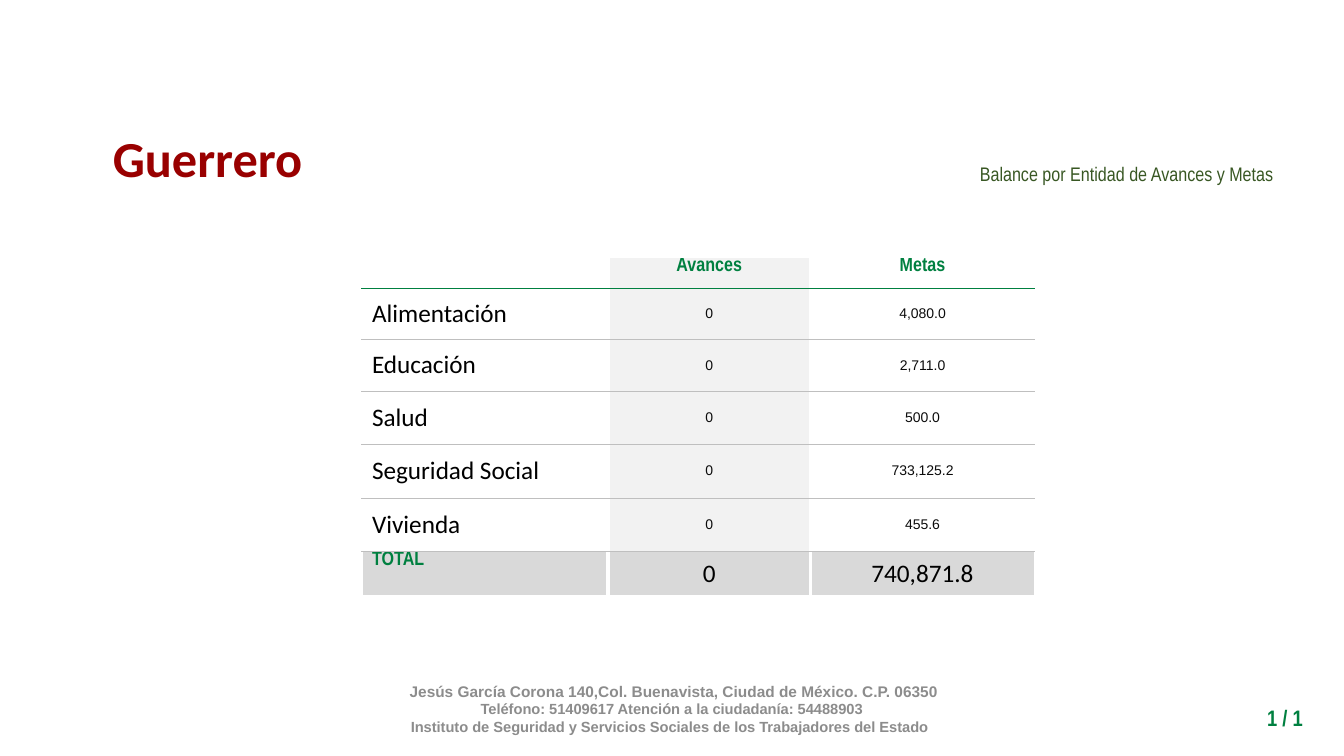
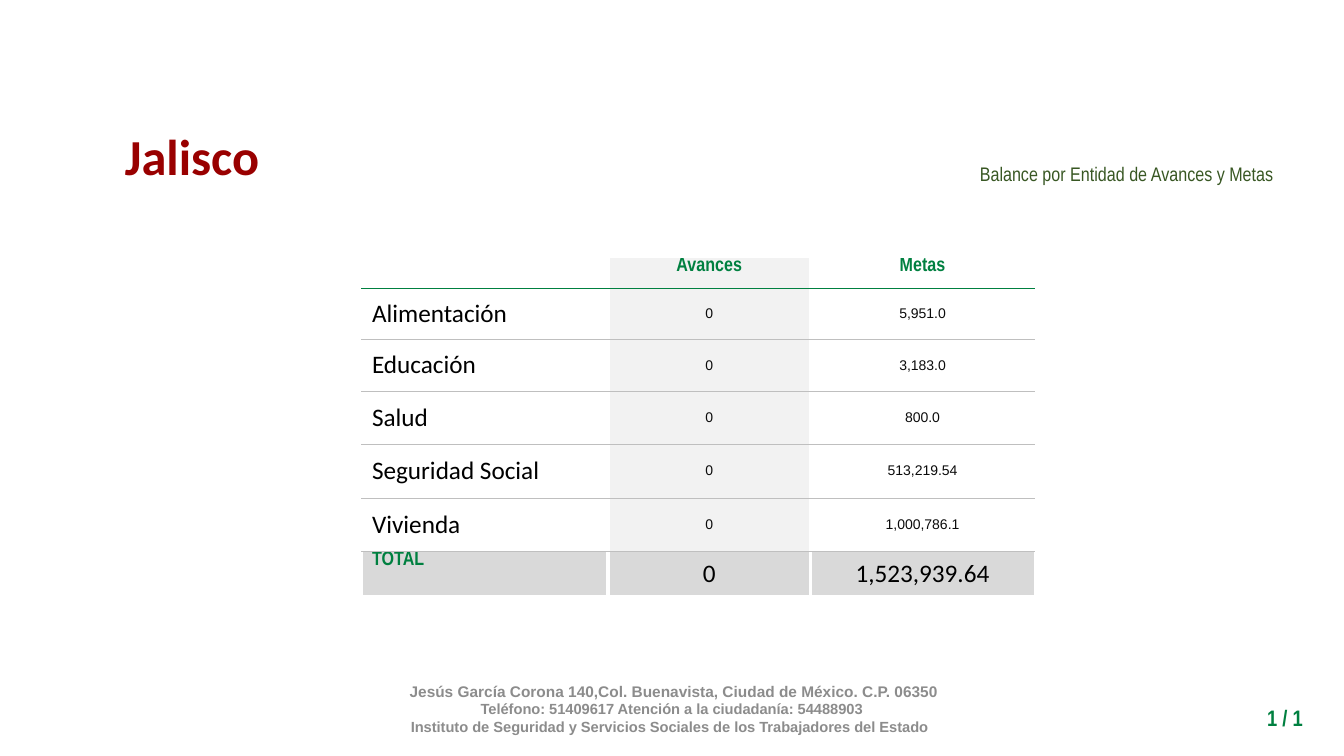
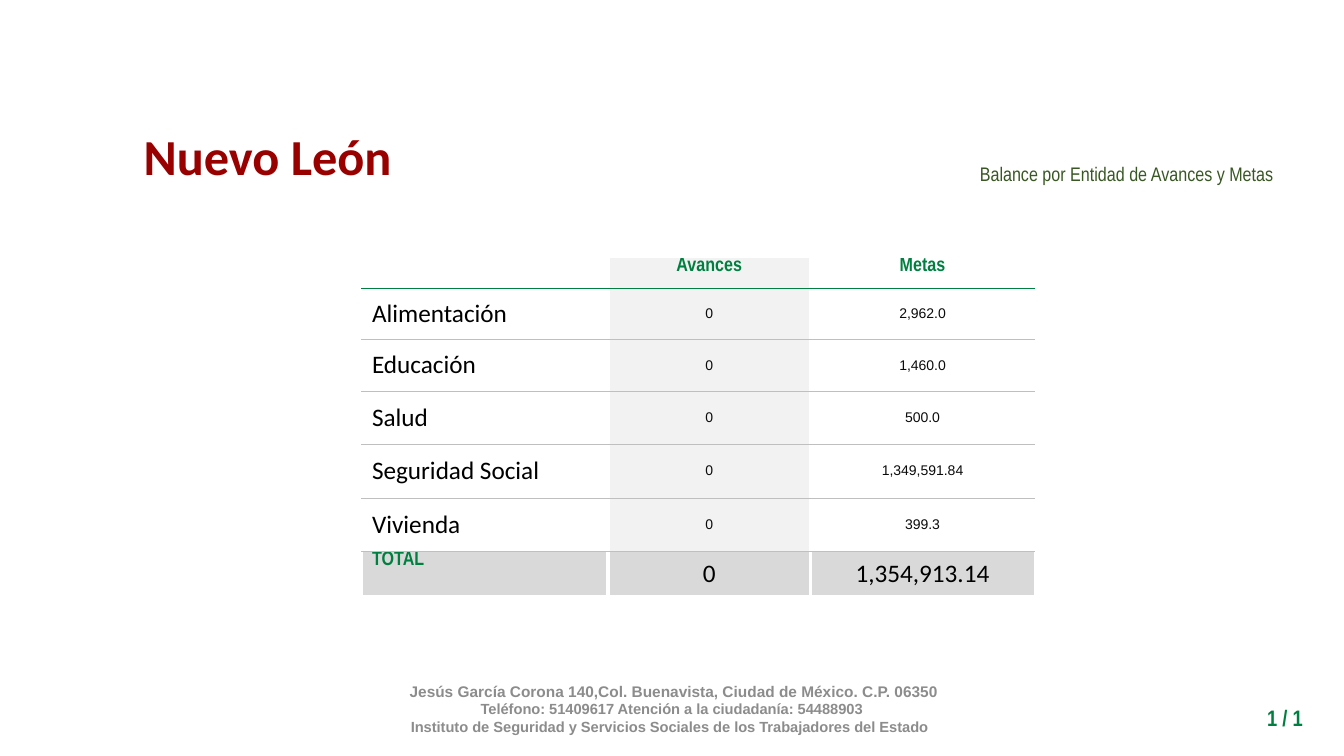
from dataclasses import dataclass
from typing import Optional

from lxml.etree import SubElement as Sub
from pptx import Presentation
from pptx.dml.color import RGBColor as Rgb
from pptx.enum.text import MSO_ANCHOR as Anchor
from pptx.enum.text import MSO_AUTO_SIZE as Fit
from pptx.enum.text import PP_ALIGN as Align
from pptx.oxml.ns import qn
from pptx.util import Inches, Pt


@dataclass(frozen=True)
class Face:
    size: float
    font: str
    color: str
    bold: bool = False
    edge: Optional[str] = None


@dataclass(frozen=True)
class Theme:
    white: str = "FFFFFF"
    green: str = "008040"
    rule: str = "BFBFBF"
    shade: str = "F2F2F2"
    dark: str = "D9D9D9"
    title: Face = Face(36, "Calibri", "990000", True, "FFFFFF")
    sub: Face = Face(14, "Arial Narrow", "385723")
    page: Face = Face(16, "Arial Narrow", "008040", True)
    foot: Face = Face(11, "Arial", "8C8C8C", True)
    small: Face = Face(10.5, "Arial", "8C8C8C", True)
    head: Face = Face(14, "Arial Narrow", "008040", True)
    label: Face = Face(18, "Calibri", "000000")
    value: Face = Face(10, "Arial", "0B0B0B")


@dataclass(frozen=True)
class Box:
    left: float
    top: float
    width: float
    height: float


@dataclass(frozen=True)
class Line:
    text: str
    face: Face


@dataclass(frozen=True)
class State:
    name: str
    box: Box
    goals: tuple[float, ...]


T = Theme()
FOOT = (
    Line(" Jesús García Corona 140,Col. Buenavista, Ciudad de México. C.P. 06350", T.foot),
    Line("Teléfono: 51409617 Atención a la ciudadanía: 54488903", T.small),
    Line("Instituto de Seguridad y Servicios Sociales de los Trabajadores del Estado ", T.small),
)
HEADS = ("", "Avances", "Metas")
LABELS = ("Alimentación", "Educación", "Salud", "Seguridad Social", "Vivienda")
COLS = (2.44, 2.01, 2.22)
ROWS = (0.31, 0.51, 0.51, 0.53, 0.53, 0.53, 0.45)
STATES = (
    State("Guerrero", Box(1.01, 1.21, 2.1, 0.71), (4080, 2711, 500, 733125.2, 455.6)),
    State("Jalisco", Box(1.13, 1.19, 1.55, 0.71), (5951, 3183, 800, 513219.54, 1000786.1)),
    State("Nuevo León", Box(1.31, 1.19, 2.69, 0.71), (2962, 1460, 500, 1349591.84, 399.3)),
)


def add_run(para, line: Line) -> None:
    run = para.add_run()
    run.text = line.text
    face = line.face
    font = run.font
    font.size, font.name, font.bold = Pt(face.size), face.font, face.bold
    font.color.rgb = Rgb.from_string(face.color)
    if face.edge:
        props = run._r.get_or_add_rPr()
        edge = Sub(props, qn("a:ln"), w=str(Pt(0.75)))
        Sub(Sub(edge, qn("a:solidFill")), qn("a:srgbClr"), val=face.edge)
        props.insert(0, edge)


def add_text(slide, box: Box, lines: tuple[Line, ...], align, anchor=Anchor.TOP,
             wrap: bool = True, fit=Fit.NONE, space: Optional[float] = None) -> None:
    place = (Inches(n) for n in (box.left, box.top, box.width, box.height))
    frame = slide.shapes.add_textbox(*place).text_frame
    frame.word_wrap, frame.auto_size = wrap, fit
    frame.vertical_anchor = anchor
    for i, line in enumerate(lines):
        para = frame.add_paragraph() if i else frame.paragraphs[0]
        para.alignment, para.line_spacing = align, space
        add_run(para, line)


def set_edge(cell, side: str, color: str, width: float) -> None:
    edge = Sub(cell._tc.get_or_add_tcPr(), qn(f"a:{side}"), w=str(Pt(width)))
    Sub(Sub(edge, qn("a:solidFill")), qn("a:srgbClr"), val=color)


def set_rules(cell, row: int, col: int) -> None:
    last = len(ROWS) - 1
    gap, thin, hair = (T.white, 3), (T.rule, 0.5), (T.green, 0.25)
    if col > 0:
        set_edge(cell, "lnL", *gap)
    if col < len(COLS) - 1:
        set_edge(cell, "lnR", *gap)
    if row > 0:
        set_edge(cell, "lnT", *(hair if row == 1 else thin))
    set_edge(cell, "lnB", *(hair if row == 0 else gap if row == last else thin))


def set_cell(cell, row: int, col: int, text: str) -> None:
    last = row == len(ROWS) - 1
    title = row == 0 or (last and col == 0)
    cell.margin_top = cell.margin_bottom = 0
    cell.vertical_anchor = Anchor.TOP if title else Anchor.MIDDLE
    set_rules(cell, row, col)
    fill = T.dark if last else T.shade if col == 1 else None
    if fill:
        cell.fill.solid()
        cell.fill.fore_color.rgb = Rgb.from_string(fill)
    else:
        cell.fill.background()
    if text:
        para = cell.text_frame.paragraphs[0]
        para.alignment = Align.CENTER if col else Align.LEFT
        face = T.head if title else T.label if last or col == 0 else T.value
        add_run(para, Line(text, face))


def show(value: float) -> str:
    return f"{round(float(value), 2):,}"


def add_grid(slide, goals: tuple[float, ...]) -> None:
    body = [(label, "0", show(goal)) for label, goal in zip(LABELS, goals)]
    data = [HEADS, *body, ("TOTAL", "0", show(sum(goals)))]
    table = slide.shapes.add_table(
        len(ROWS), len(COLS), Inches(3.59), Inches(2.55),
        Inches(sum(COLS)), Inches(sum(ROWS))).table
    table.first_row = table.horz_banding = False
    for col, width in zip(table.columns, COLS):
        col.width = Inches(width)
    for row, height in zip(table.rows, ROWS):
        row.height = Inches(height)
    for r, texts in enumerate(data):
        for c, text in enumerate(texts):
            set_cell(table.cell(r, c), r, c, text)


def add_state(deck, state: State) -> None:
    slide = deck.slides.add_slide(deck.slide_layouts[6])
    add_text(slide, Box(2.88, 6.83, 7.57, 0.4), FOOT, Align.CENTER, Anchor.MIDDLE)
    add_grid(slide, state.goals)
    add_text(slide, Box(6.69, 1.23, 6.04, 0.95),
             (Line("Balance por Entidad de Avances y Metas", T.sub),),
             Align.RIGHT, Anchor.MIDDLE, space=1.15)
    add_text(slide, Box(11.76, 6.94, 1.26, 0.37), (Line("1 / 1", T.page),),
             Align.RIGHT, fit=Fit.SHAPE_TO_FIT_TEXT)
    add_text(slide, state.box, (Line(state.name, T.title),), Align.CENTER,
             wrap=False, fit=Fit.SHAPE_TO_FIT_TEXT)


def main() -> None:
    deck = Presentation()
    deck.slide_width, deck.slide_height = Inches(13.33), Inches(7.5)
    for state in STATES:
        add_state(deck, state)
    deck.save("out.pptx")


if __name__ == "__main__":
    main()
